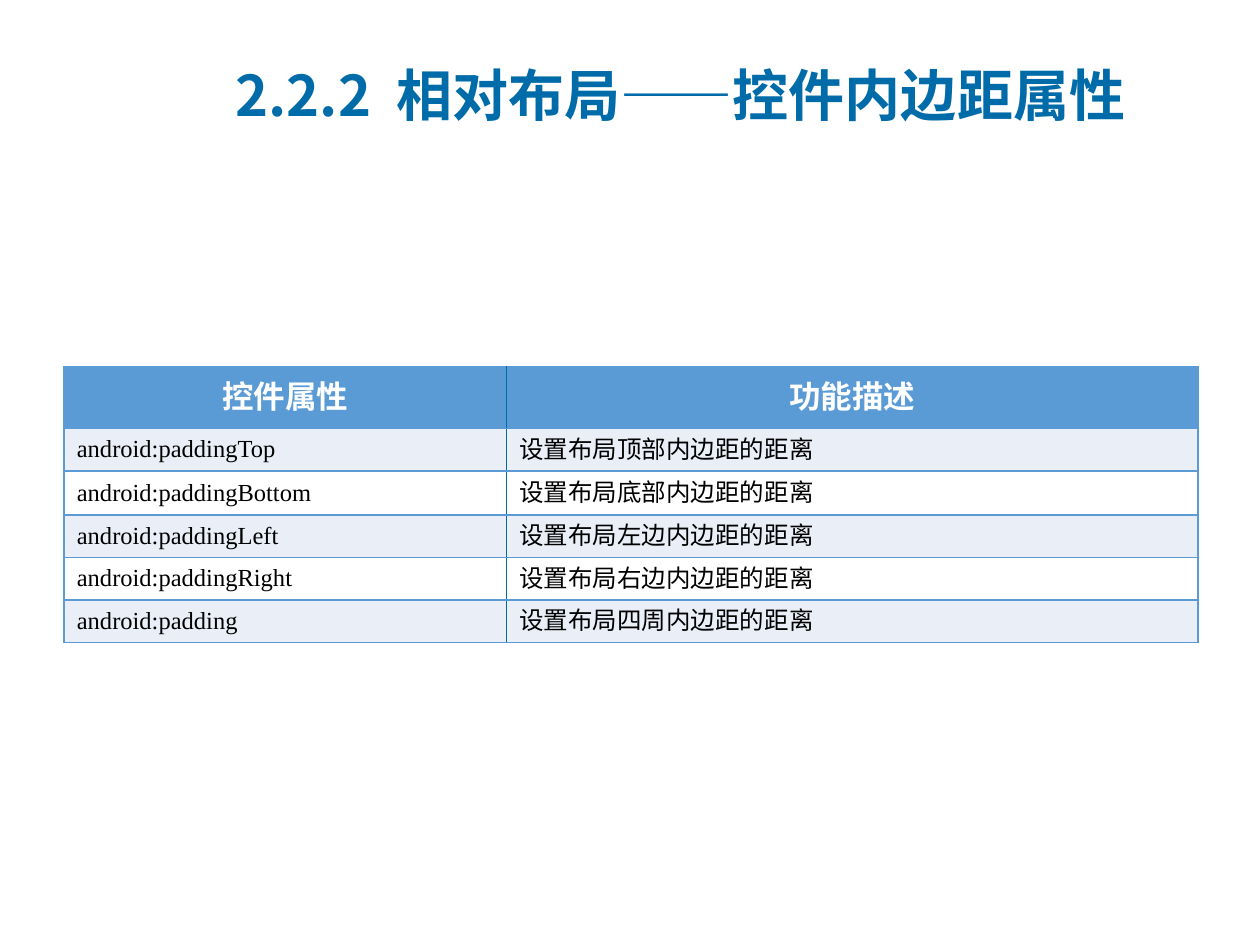
from lxml.etree import SubElement
from pptx import Presentation
from pptx.dml.color import RGBColor
from pptx.enum.text import MSO_ANCHOR, MSO_AUTO_SIZE, PP_ALIGN
from pptx.oxml.ns import qn
from pptx.util import Inches, Pt

COLORS = {
    "title": "006BA9",
    "header": "5B9BD5",
    "band": "EAEFF7",
    "white": "FFFFFF",
    "text": "000000",
}
HEADINGS = ("控件属性", "功能描述")
PADDING_ROWS = [
    ("android:paddingTop", "设置布局顶部内边距的距离"),
    ("android:paddingBottom", "设置布局底部内边距的距离"),
    ("android:paddingLeft", "设置布局左边内边距的距离"),
    ("android:paddingRight", "设置布局右边内边距的距离"),
    ("android:padding", "设置布局四周内边距的距离"),
]
COLUMN_WIDTHS = (3.51, 5.49)
ROW_HEIGHTS = (0.49, 0.33, 0.35, 0.33, 0.33, 0.33)


def format_text(para, font_name, size, color, bold):
    for span in para.runs:
        span.font.name = font_name
        span.font.size = Pt(size)
        span.font.bold = bold
        span.font.color.rgb = RGBColor.from_string(COLORS[color])
        east_asian = SubElement(span.font._element, qn("a:ea"))
        east_asian.set("typeface", font_name)


def add_title(page, left, top, width, height):
    box = page.shapes.title
    box.left, box.top, box.width, box.height = left, top, width, height
    frame = box.text_frame
    frame.text = "2.2.2  相对布局——控件内边距属性"
    frame.word_wrap = True
    frame.auto_size = MSO_AUTO_SIZE.NONE
    frame.vertical_anchor = MSO_ANCHOR.MIDDLE
    para = frame.paragraphs[0]
    para.alignment = PP_ALIGN.LEFT
    properties = para._p.get_or_add_pPr()
    properties.set("marL", str(Inches(0.62)))
    properties.set("indent", str(Inches(-0.62)))
    format_text(para, "Noto Sans CJK SC", 32, "title", True)


def set_borders(cell, column):
    left, right = ("header", "title") if column == 0 else ("title", "header")
    sides = {"lnL": left, "lnR": right, "lnT": "header", "lnB": "header"}
    for side, color in sides.items():
        line = SubElement(cell._tc.get_or_add_tcPr(), qn(f"a:{side}"), w=str(Pt(1)))
        fill = SubElement(line, qn("a:solidFill"))
        SubElement(fill, qn("a:srgbClr"), val=COLORS[color])


def fill_cell(cell, text, row, column):
    cell.text = text
    cell.vertical_anchor = MSO_ANCHOR.MIDDLE
    set_borders(cell, column)
    para = cell.text_frame.paragraphs[0]
    if row == 0:
        background = "header"
        para.alignment = PP_ALIGN.CENTER
        format_text(para, "Calibri", 18, "white", True)
    else:
        background = "band" if row % 2 else "white"
        font_name = "Calibri" if column else "Times New Roman"
        format_text(para, font_name, 14, "text", False)
    cell.fill.solid()
    cell.fill.fore_color.rgb = RGBColor.from_string(COLORS[background])


def add_padding_table(page, left, top, width, height):
    rows = [HEADINGS, *PADDING_ROWS]
    table = page.shapes.add_table(
        len(rows), len(HEADINGS), left, top, width, height
    ).table
    for column, column_width in zip(table.columns, COLUMN_WIDTHS):
        column.width = Inches(column_width)
    for row, row_height in zip(table.rows, ROW_HEIGHTS):
        row.height = Inches(row_height)
    for row, texts in enumerate(rows):
        for column, text in enumerate(texts):
            fill_cell(table.cell(row, column), text, row, column)


def main():
    deck = Presentation()
    deck.slide_width, deck.slide_height = Inches(10), Inches(7.5)
    page = deck.slides.add_slide(deck.slide_layouts[5])
    add_title(page, Inches(1.77), Inches(0.44), Inches(7.72), Inches(0.61))
    add_padding_table(page, Inches(0.51), Inches(2.91), Inches(9), Inches(2.18))
    deck.save("out.pptx")


if __name__ == "__main__":
    main()
